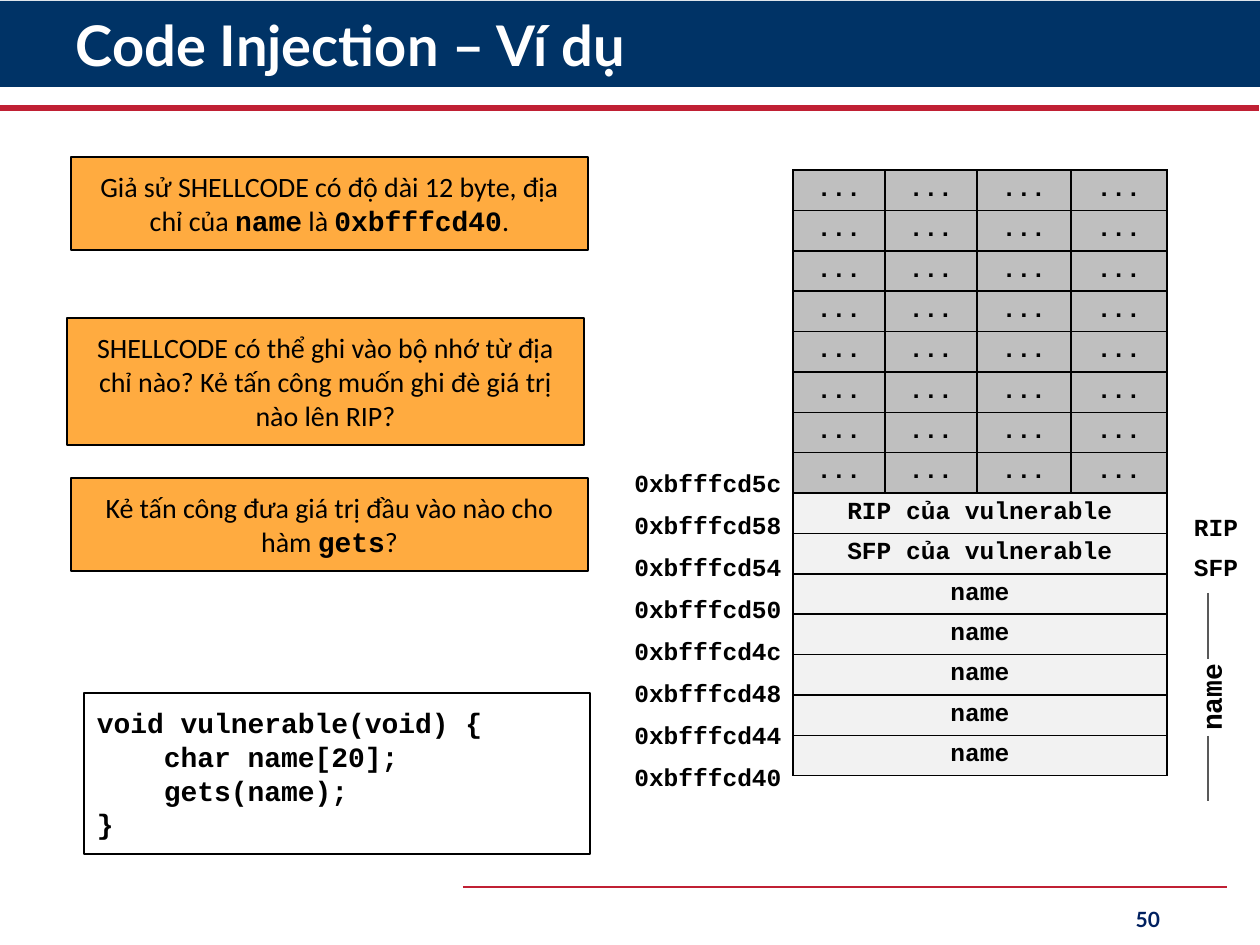
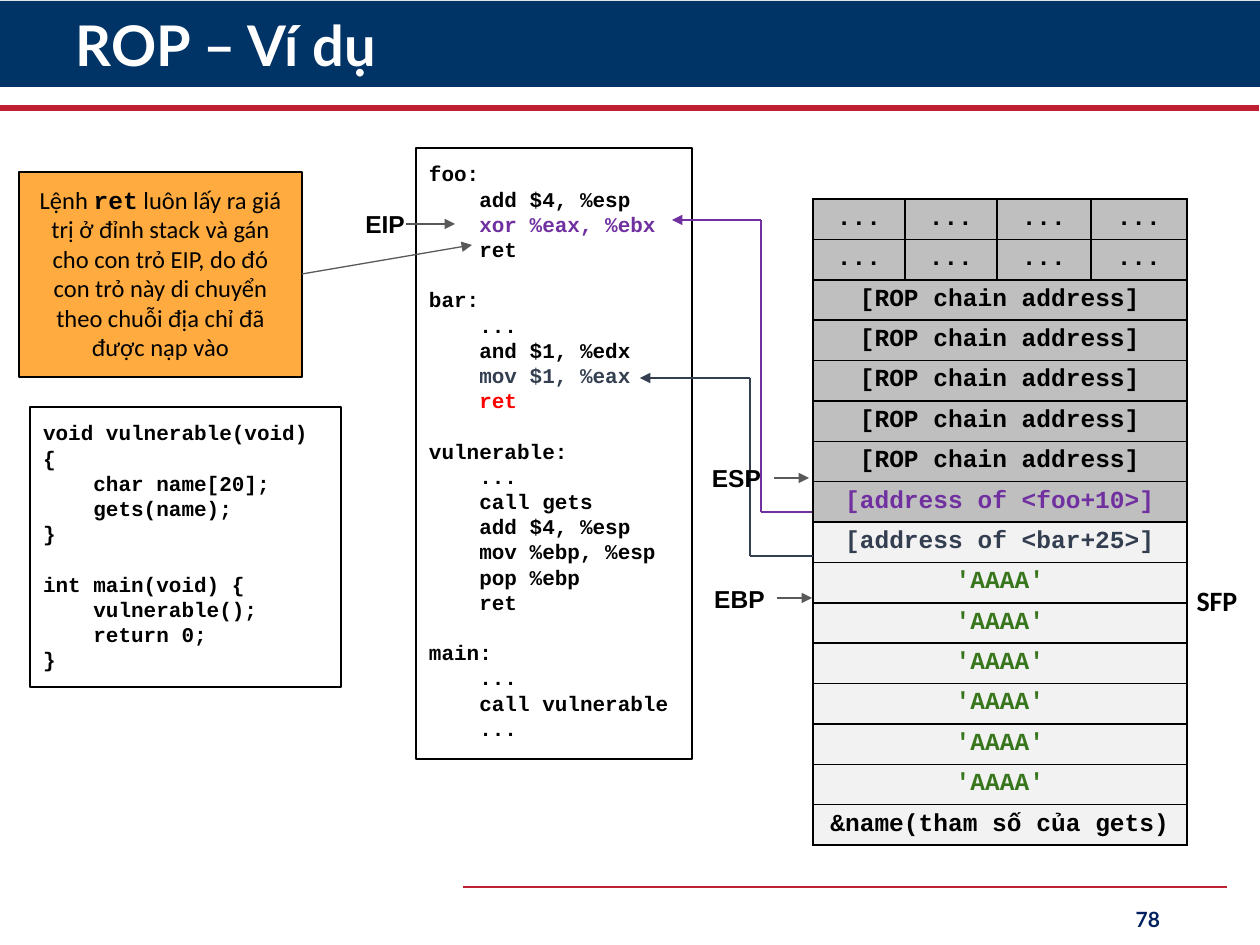
from lxml.etree import SubElement
from pptx import Presentation
from pptx.dml.color import RGBColor
from pptx.enum.shapes import MSO_CONNECTOR, MSO_SHAPE
from pptx.enum.text import MSO_ANCHOR, PP_ALIGN
from pptx.oxml.ns import qn
from pptx.util import Emu, Pt

EMU_PER_PX = 914400 / 126
COLORS = {
    "white": "FFFFFF", "black": "000000", "band": "003366", "rule": "C02034",
    "page": "002060", "orange": "FFAB40", "old": "BFBFBF", "frame": "F2F2F2",
    "gray": "595959", "purple": "7030A0", "slate": "333F50", "green": "38761D",
    "red": "FF0000",
}
HEADING, BODY, LABEL, MONO = "Lato", "Calibri", "Arial", "Courier New"
STACK_COLS = (92, 92, 94, 96)
ROW_HEIGHT = 40
LEADING = 1.2

VULNERABLE = ["void vulnerable(void) {", "    char name[20];", "    gets(name);", "}"]
MAIN = ["int main(void) {", "    vulnerable();", "    return 0;", "}"]
ASSEMBLY = [
    ["foo:", "    add $4, %esp", ("    xor %eax, %ebx", "purple"), "    ret"],
    ["bar:", "    ...", "    and $1, %edx", ("    mov $1, %eax", "slate"),
     ("    ret", "red")],
    ["vulnerable:", "    ...", "    call gets", "    add $4, %esp",
     "    mov %ebp, %esp", "    pop %ebp", "    ret"],
    ["main:", "    ...", "    call vulnerable", "    ..."],
]


def px(n):
    return Emu(round(n * EMU_PER_PX))


def rgb(name):
    return RGBColor.from_string(COLORS[name])


def set_font(font, name, size, color="black", bold=True):
    font.name, font.size, font.bold = name, Pt(size), bold
    font.color.rgb = rgb(color)


def add_line(slide, start, end, color, width, arrow=False):
    sp = slide.shapes.add_connector(MSO_CONNECTOR.STRAIGHT, *map(px, start + end))
    sp.line.color.rgb = rgb(color)
    sp.line.width = Pt(width)
    if arrow:
        SubElement(sp.line._get_or_add_ln(), qn("a:tailEnd"), type="triangle")
    SubElement(sp._element.spPr, qn("a:effectLst"))


def add_route(slide, points, color):
    """Join the points with straight lines, the last one with an arrowhead."""
    for i, (start, end) in enumerate(zip(points, points[1:]), 2):
        add_line(slide, start, end, color, 1, arrow=i == len(points))


def add_rect(slide, box, fill, line=None):
    sp = slide.shapes.add_shape(MSO_SHAPE.RECTANGLE, *map(px, box))
    sp.shadow.inherit = False
    sp.fill.solid()
    sp.fill.fore_color.rgb = rgb(fill)
    if line:
        sp.line.color.rgb = rgb(line)
        sp.line.width = Pt(1.5)
    else:
        sp.line.fill.background()
    return sp


def add_panel(slide, box, fill):
    """Add a black-edged box and return its empty text frame."""
    tf = add_rect(slide, box, fill, "black").text_frame
    tf.word_wrap = True
    tf.vertical_anchor = MSO_ANCHOR.TOP
    tf.margin_left = tf.margin_right = tf.margin_top = tf.margin_bottom = px(13)
    return tf


def add_note(slide, box, text, size=16):
    """Add an orange note; text between backquotes is set as code."""
    p = add_panel(slide, box, "orange").paragraphs[0]
    p.alignment = PP_ALIGN.CENTER
    p.line_spacing = Pt(LEADING * size)
    for i, part in enumerate(text.split("`")):
        r = p.add_run()
        r.text = part
        is_code = i % 2 == 1
        set_font(r.font, MONO if is_code else BODY, size, bold=is_code)


def add_code(slide, box, blocks, size):
    """Add a code listing with one line of space between blocks."""
    tf = add_panel(slide, box, "white")
    p = None
    for block in blocks:
        for i, line in enumerate(block):
            text, color = (line, "black") if isinstance(line, str) else line
            opens_block = i == 0 and p is not None
            p = tf.paragraphs[0] if p is None else tf.add_paragraph()
            p.text = text
            p.alignment = PP_ALIGN.LEFT
            p.line_spacing = Pt(LEADING * size)
            if opens_block:
                p.space_before = Pt(LEADING * size)
            set_font(p.font, MONO, size, color)


def add_text(slide, box, text, font, size, color="black", align=PP_ALIGN.CENTER,
             inset=6, side_inset=0, anchor=MSO_ANCHOR.TOP):
    sp = slide.shapes.add_textbox(*map(px, box))
    tf = sp.text_frame
    tf.word_wrap = True
    tf.vertical_anchor = anchor
    tf.margin_top = tf.margin_bottom = px(inset)
    tf.margin_left = tf.margin_right = px(side_inset)
    p = tf.paragraphs[0]
    p.text = text
    p.alignment = align
    set_font(p.font, font, size, color)
    return sp


def set_borders(cell, color):
    tc_pr = cell._tc.get_or_add_tcPr()
    for side in ("lnL", "lnR", "lnT", "lnB"):
        ln = SubElement(tc_pr, qn(f"a:{side}"), w=str(Pt(1)))
        if color:
            fill = SubElement(ln, qn("a:solidFill"))
            SubElement(fill, qn("a:srgbClr"), val=COLORS[color])
        else:
            SubElement(ln, qn("a:noFill"))


def add_grid(slide, left, top, widths, row_height, n_rows):
    size = (sum(widths), row_height * n_rows)
    table = slide.shapes.add_table(
        n_rows, len(widths), *map(px, (left, top) + size)).table
    table.first_row = table.horz_banding = False
    for column, width in zip(table.columns, widths):
        column.width = px(width)
    return table


def style_cell(cell, fill=None, border=None):
    set_borders(cell, border)
    cell.margin_left = cell.margin_right = 0
    if fill:
        cell.fill.solid()
        cell.fill.fore_color.rgb = rgb(fill)
    else:
        cell.fill.background()


def fill_cell(cell, text, color="black"):
    cell.margin_top, cell.margin_bottom = px(6), px(5)
    p = cell.text_frame.paragraphs[0]
    p.text = text
    p.alignment = PP_ALIGN.CENTER
    set_font(p.font, MONO, 14, color)


def add_stack(slide, left, top, rows):
    """Draw stack words; a row of "..." is split into four bytes."""
    table = add_grid(slide, left, top, STACK_COLS, ROW_HEIGHT, len(rows))
    for i, (text, fill, color) in enumerate(rows):
        cells = list(table.rows[i].cells)
        for cell in cells:
            style_cell(cell, fill, "black")
            cell.margin_top = cell.margin_bottom = 0
        if text == "...":
            for cell in cells:
                fill_cell(cell, text)
        else:
            cells[0].merge(cells[-1])
            fill_cell(cells[0], text, color)


def add_addresses(slide, left, top, addresses):
    table = add_grid(slide, left, top, (198,), 42, len(addresses))
    for i, address in enumerate(addresses):
        style_cell(table.cell(i, 0))
        fill_cell(table.cell(i, 0), address)


def add_register(slide, box, name, start, end):
    add_text(slide, box, name, LABEL, 14)
    add_line(slide, start, end, "gray", 1, arrow=True)


def add_base(prs, title, page):
    slide = prs.slides.add_slide(prs.slide_layouts[6])
    add_rect(slide, (0, 1, 1260, 86), "band")
    add_line(slide, (0, 108), (1259, 108), "rule", 3.5)
    add_line(slide, (463, 887), (1227, 887), "rule", 1.5)
    sp = add_text(slide, (63, 10, 1110, 77), title, HEADING, 32, "white",
                  PP_ALIGN.LEFT, side_inset=13, anchor=MSO_ANCHOR.MIDDLE)
    sp.text_frame.paragraphs[0].line_spacing = 0.9
    add_text(slide, (890, 894, 283, 50), str(page), HEADING, 12, "page",
             PP_ALIGN.RIGHT, side_inset=13, anchor=MSO_ANCHOR.MIDDLE)
    return slide


def build_injection(prs):
    slide = add_base(prs, "Code Injection – Ví dụ", 50)
    add_stack(slide, 793, 170, [("...", "old", "black")] * 8 + [
        ("RIP của vulnerable", "frame", "black"),
        ("SFP của vulnerable", "frame", "black"),
    ] + [("name", "frame", "black")] * 5)
    sp = add_text(slide, (1124, 670, 169, 55), "name", MONO, 16, inset=13)
    sp.rotation = 270
    for top, bottom in ((593, 659), (736, 801)):
        add_line(slide, (1208, top), (1208, bottom), "gray", 0.75)
    for name, top in (("RIP", 499), ("SFP", 539)):
        add_text(slide, (1181, top, 70, 55), name, MONO, 14, inset=13)
    add_code(slide, (84, 693, 506, 161), [VULNERABLE], 16)
    add_note(slide, (71, 157, 517, 93),
             "Giả sử SHELLCODE có độ dài 12 byte, địa chỉ của `name` là `0xbfffcd40`.")
    add_note(slide, (71, 478, 517, 93),
             "Kẻ tấn công đưa giá trị đầu vào nào cho hàm `gets`?")
    add_note(slide, (67, 318, 517, 127),
             "SHELLCODE có thể ghi vào bộ nhớ từ địa chỉ nào? "
             "Kẻ tấn công muốn ghi đè giá trị nào lên RIP?")
    add_addresses(slide, 609, 466,
                  [f"0x{a:x}" for a in range(0xbfffcd5c, 0xbfffcd3f, -4)])


def build_rop(prs):
    slide = add_base(prs, "ROP – Ví dụ", 78)
    add_stack(slide, 813, 199, (
        [("...", "old", "black")] * 2
        + [("[ROP chain address]", "old", "black")] * 5
        + [("[address of <foo+10>]", "old", "purple"),
           ("[address of <bar+25>]", "frame", "slate")]
        + [("'AAAA'", "frame", "green")] * 6
        + [("&name(tham số của gets)", "frame", "black")]))
    add_code(slide, (416, 148, 276, 611), ASSEMBLY, 12)
    add_code(slide, (30, 407, 311, 280), [VULNERABLE, MAIN], 12)
    add_route(slide, [(813, 556), (750, 556), (750, 378), (640, 378)], "slate")
    add_route(slide, [(812, 512), (761, 512), (761, 220), (672, 220)], "purple")
    add_register(slide, (350, 203, 70, 43), "EIP", (406, 224), (455, 224))
    add_register(slide, (700, 457, 73, 43), "ESP", (774, 478), (809, 478))
    add_register(slide, (703, 578, 73, 43), "EBP", (777, 598), (812, 598))
    add_note(slide, (19, 172, 283, 205),
             "Lệnh `ret` luôn lấy ra giá trị ở đỉnh stack và gán cho con trỏ EIP, "
             "do đó con trỏ này di chuyển theo chuỗi địa chỉ đã được nạp vào", 14)
    add_line(slide, (302, 274), (472, 245), "gray", 0.75, arrow=True)
    add_text(slide, (1184, 578, 66, 47), "SFP", BODY, 16)


def main():
    prs = Presentation()
    prs.slide_width, prs.slide_height = px(1260), px(945)
    build_injection(prs)
    build_rop(prs)
    prs.save("out.pptx")


if __name__ == "__main__":
    main()
